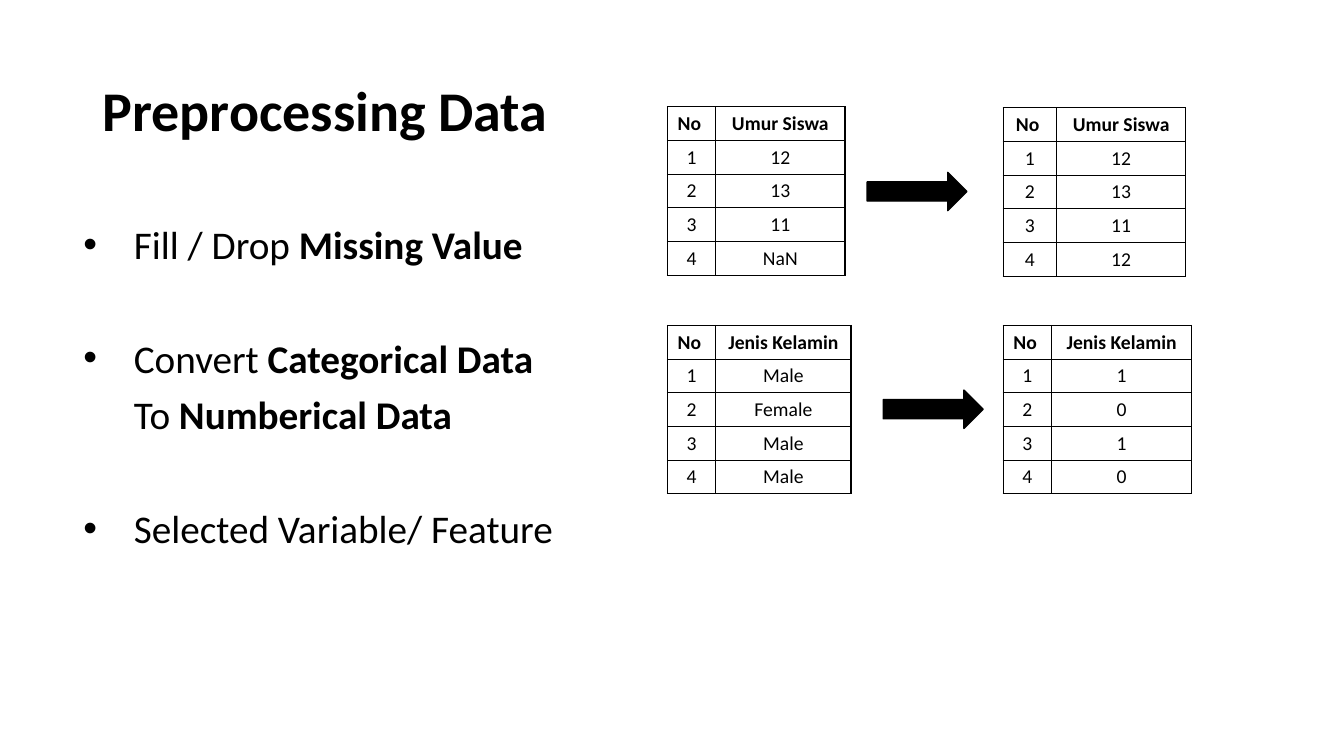
from lxml.etree import SubElement
from pptx import Presentation
from pptx.dml.color import RGBColor
from pptx.enum.shapes import MSO_SHAPE
from pptx.enum.text import MSO_ANCHOR, PP_ALIGN
from pptx.oxml.ns import qn
from pptx.util import Inches, Pt

BLACK = RGBColor(0x00, 0x00, 0x00)
WHITE = RGBColor(0xFF, 0xFF, 0xFF)

BULLETS = [
    [[("Fill / Drop ", False), ("Missing Value", True)]],
    [
        [("Convert ", False), ("Categorical Data ", True)],
        [("To ", False), ("Numberical Data", True)],
    ],
    [[("Selected Variable/ Feature", False)]],
]

TABLES = [
    (6.62, 1.06, (0.48, 1.28), "Umur Siswa", ["12", "13", "11", "NaN"]),
    (9.95, 1.07, (0.53, 1.28), "Umur Siswa", ["12", "13", "11", "12"]),
    (6.62, 3.23, (0.48, 1.34), "Jenis Kelamin", ["Male", "Female", "Male", "Male"]),
    (9.95, 3.23, (0.48, 1.39), "Jenis Kelamin", ["1", "0", "1", "0"]),
]

ARROWS = [(8.6, 1.71), (8.76, 3.87)]


class SlideBuilder:
    """Draws styled elements on one slide."""

    font_name = "Calibri"
    title_size = 40
    bullet_size = 28
    cell_size = 14
    line_spacing = 1.2
    row_height = 1.67 / 5

    def __init__(self, slide):
        self.slide = slide
        fill = slide.background.fill
        fill.solid()
        fill.fore_color.rgb = WHITE

    def format_span(self, span, size, bold):
        span.font.name = self.font_name
        span.font.size = Pt(size)
        span.font.bold = bold
        span.font.color.rgb = BLACK

    def text_box(self, left, top, width, height, anchor):
        box = self.slide.shapes.add_textbox(
            Inches(left), Inches(top), Inches(width), Inches(height)
        )
        frame = box.text_frame
        frame.word_wrap = True
        frame.vertical_anchor = anchor
        return frame

    def title(self, text, left, top, width, height):
        frame = self.text_box(left, top, width, height, MSO_ANCHOR.MIDDLE)
        frame.text = text
        para = frame.paragraphs[0]
        para.line_spacing = 0.9
        self.format_span(para.runs[0], self.title_size, True)

    def bullet_list(self, items, left, top, width, height):
        frame = self.text_box(left, top, width, height, MSO_ANCHOR.TOP)
        for index, lines in enumerate(items):
            para = frame.add_paragraph() if index else frame.paragraphs[0]
            para.line_spacing = self.line_spacing
            if index:
                para.space_before = Pt(41)
            properties = para._p.get_or_add_pPr()
            properties.set("marL", str(Inches(0.5)))
            properties.set("indent", str(Inches(-0.5)))
            SubElement(properties, qn("a:buFont")).set("typeface", "Arial")
            SubElement(properties, qn("a:buChar")).set("char", "•")
            for number, line in enumerate(lines):
                if number:
                    para.add_line_break()
                for text, bold in line:
                    span = para.add_run()
                    span.text = text
                    self.format_span(span, self.bullet_size, bold)

    def cell_borders(self, cell):
        properties = cell._tc.get_or_add_tcPr()
        for side in ("lnL", "lnR", "lnT", "lnB"):
            line = SubElement(properties, qn(f"a:{side}"), w=str(Pt(1)))
            fill = SubElement(line, qn("a:solidFill"))
            SubElement(fill, qn("a:srgbClr"), val=str(BLACK))

    def cell(self, cell, text, bold):
        cell.margin_top = cell.margin_bottom = Inches(0.04)
        cell.vertical_anchor = MSO_ANCHOR.MIDDLE
        self.cell_borders(cell)
        cell.fill.background()
        cell.text_frame.text = text
        para = cell.text_frame.paragraphs[0]
        para.alignment = PP_ALIGN.CENTER
        self.format_span(para.runs[0], self.cell_size, bold)

    def table(self, left, top, widths, heading, values):
        rows = [("No ", heading)]
        rows += [(str(number), value) for number, value in enumerate(values, 1)]
        table = self.slide.shapes.add_table(
            len(rows), len(widths), Inches(left), Inches(top),
            Inches(sum(widths)), Inches(self.row_height * len(rows)),
        ).table
        table.first_row = table.horz_banding = False
        for column, width in zip(table.columns, widths):
            column.width = Inches(width)
        for row_index, row in enumerate(rows):
            table.rows[row_index].height = Inches(self.row_height)
            for column_index, text in enumerate(row):
                self.cell(table.cell(row_index, column_index), text, row_index == 0)

    def arrow(self, left, top):
        arrow = self.slide.shapes.add_shape(
            MSO_SHAPE.RIGHT_ARROW, Inches(left), Inches(top), Inches(0.99), Inches(0.38)
        )
        arrow.shadow.inherit = False
        arrow.fill.solid()
        arrow.fill.fore_color.rgb = BLACK
        arrow.line.color.rgb = BLACK
        arrow.line.width = Pt(1)


def main():
    deck = Presentation()
    deck.slide_width = Inches(13.33)
    deck.slide_height = Inches(7.5)
    page = SlideBuilder(deck.slides.add_slide(deck.slide_layouts[6]))
    page.title("Preprocessing Data", 0.92, 0.4, 11.5, 1.45)
    page.bullet_list(BULLETS, 0.73, 2.04, 5.43, 4.62)
    for table in TABLES:
        page.table(*table)
    for arrow in ARROWS:
        page.arrow(*arrow)
    deck.save("out.pptx")


if __name__ == "__main__":
    main()
